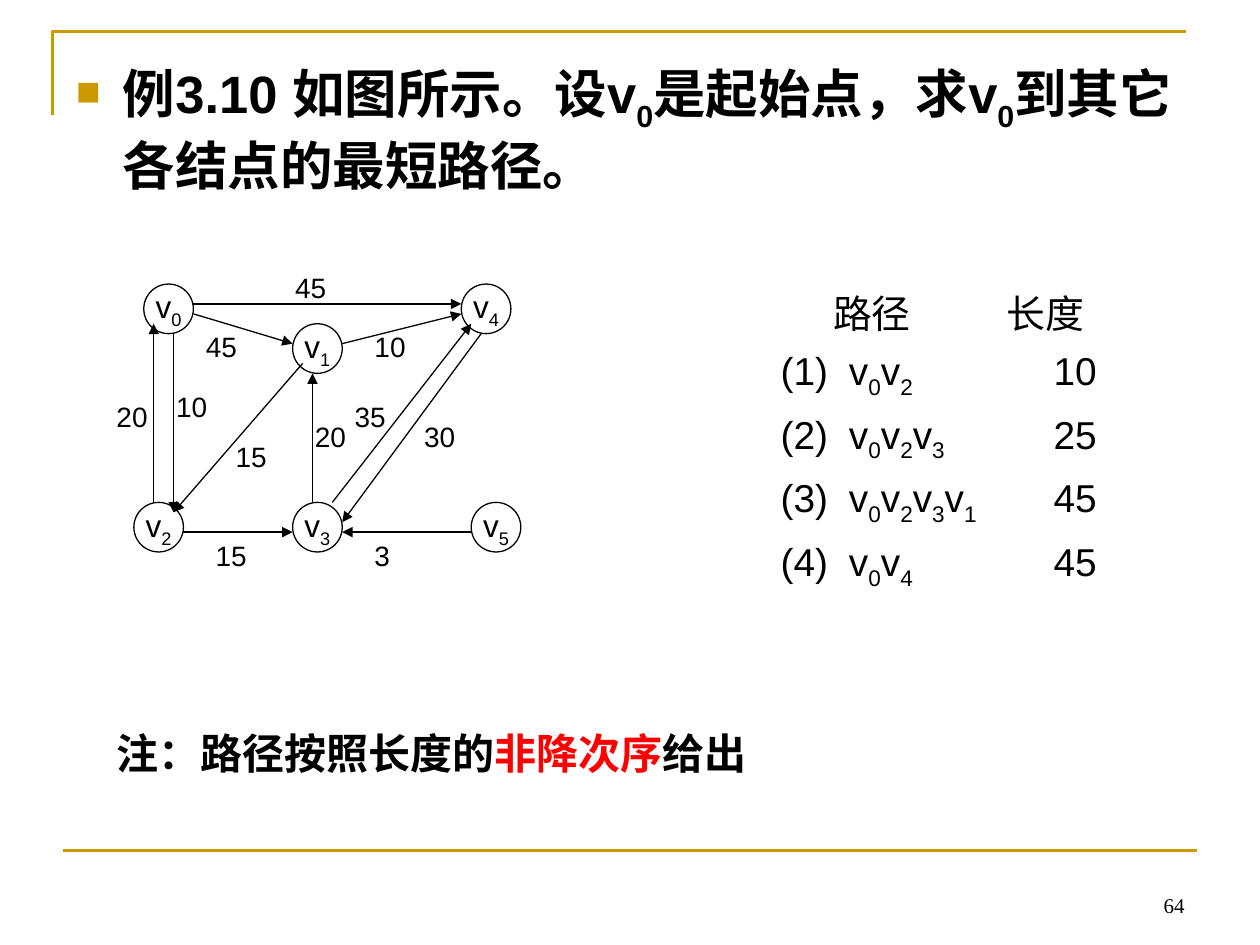
from pptx import Presentation
from pptx.dml.color import RGBColor
from pptx.enum import shapes as kinds, text as txt
from pptx.oxml.ns import qn
from pptx.util import Pt
from lxml import etree

BLACK = RGBColor(0x00, 0x00, 0x00)
GOLD = RGBColor(0xCC, 0x99, 0x00)
RED = RGBColor(0xFF, 0x00, 0x00)

STEP = 5.67  # grid step of the graph, in points
NODE = 5     # node diameter, in steps

# Node number: left, top (steps)
NODES = {0: (4, 2), 1: (19, 6), 4: (36, 2), 5: (37, 24), 3: (19, 24), 2: (3, 24)}

# Edge from x, y to x, y; label text at x, y (steps)
EDGES = [
    (9, 4, 36, 4, "45", 18, 0),
    (9, 5, 19, 8, "45", 9, 6),
    (24, 8, 36, 5, "10", 26, 6),
    (5, 24, 5, 6, "20", 0, 13),
    (7, 7, 7, 25, "10", 6, 12),
    (20, 10, 7, 25, "15", 12, 17),
    (8, 27, 19, 27, "15", 10, 27),
    (21, 24, 21, 11, "20", 20, 15),
    (23, 24, 37, 6, "35", 24, 13),
    (38, 7, 24, 26, "30", 31, 15),
    (37, 27, 24, 27, "3", 26, 27),
]

ROUTES = [("v_0v_2", 10), ("v_0v_2v_3", 25), ("v_0v_2v_3v_1", 45), ("v_0v_4", 45)]


def style(para, size, bold=False, face="Arial"):
    font = para.font
    font.name, font.size, font.bold = face, Pt(size), bold
    font.color.rgb = BLACK


def write(para, words):
    """Add words to a paragraph; the character after each _ is a subscript."""
    head, *rest = words.split("_")
    para.add_run().text = head
    for part in rest:
        sub = para.add_run()
        sub.text = part[0]
        sub._r.get_or_add_rPr().set("baseline", "-25000")
        if part[1:]:
            para.add_run().text = part[1:]


def add_box(parent, x, y, w, h):
    frame = parent.add_textbox(Pt(x), Pt(y), Pt(w), Pt(h)).text_frame
    frame.word_wrap = True
    return frame


def add_line(parent, x1, y1, x2, y2, color, width):
    line = parent.add_connector(
        kinds.MSO_CONNECTOR.STRAIGHT, Pt(x1), Pt(y1), Pt(x2), Pt(y2))
    line.line.color.rgb = color
    line.line.width = Pt(width)
    etree.SubElement(line._element.spPr, qn("a:effectLst"))
    return line


def add_frame(slide, x, y, w, h):
    # Corner rule at the top left
    pen = slide.shapes.build_freeform(Pt(x), Pt(y + 48))
    pen.add_line_segments([(Pt(x), Pt(y)), (Pt(x + w), Pt(y))], close=False)
    rule = pen.convert_to_shape()
    rule.fill.background()
    rule.line.color.rgb = GOLD
    rule.line.width = Pt(1.5)
    rule.shadow.inherit = False
    # Rule at the foot
    add_line(slide.shapes, x + 6, y + h, x + 6 + w, y + h, GOLD, 1.5)


def add_title(slide, x, y, w, h):
    title = slide.shapes.title
    title.left, title.top, title.width, title.height = Pt(x), Pt(y), Pt(w), Pt(h)
    frame = title.text_frame
    frame.vertical_anchor = txt.MSO_ANCHOR.TOP
    frame.auto_size = txt.MSO_AUTO_SIZE.NONE
    para = frame.paragraphs[0]
    para.alignment = txt.PP_ALIGN.LEFT
    style(para, 30, True)
    write(para, "例3.10 如图所示。设v_0是起始点，求v_0到其它各结点的最短路径。")
    # Square bullet on a hanging indent
    props = para._p.get_or_add_pPr()
    props.set("marL", str(Pt(27)))
    props.set("indent", str(Pt(-27)))
    tint = etree.Element(qn("a:buClr"))
    etree.SubElement(tint, qn("a:srgbClr"), val=str(GOLD))
    size = etree.Element(qn("a:buSzPct"), val="65000")
    mark = etree.Element(qn("a:buChar"), char="■")
    first = props.find(qn("a:defRPr"))
    for part in (tint, size, mark):
        first.addprevious(part)


def add_graph(slide, x, y):
    group = slide.shapes.add_group_shape().shapes

    def at(col, row):
        return x + col * STEP, y + row * STEP

    # Nodes
    for num, spot in NODES.items():
        left, top = at(*spot)
        side = Pt(NODE * STEP)
        node = group.add_shape(kinds.MSO_SHAPE.OVAL, Pt(left), Pt(top), side, side)
        node.fill.background()
        node.line.color.rgb = BLACK
        node.line.width = Pt(0.75)
        node.shadow.inherit = False
        frame = node.text_frame
        frame.word_wrap = False
        frame.vertical_anchor = txt.MSO_ANCHOR.MIDDLE
        para = frame.paragraphs[0]
        para.alignment = txt.PP_ALIGN.CENTER
        style(para, 18)
        write(para, f"v_{num}")

    # Arrows and their lengths
    for x1, y1, x2, y2, cost, col, row in EDGES:
        edge = add_line(group, *at(x1, y1), *at(x2, y2), BLACK, 0.75)
        etree.SubElement(edge.line._get_or_add_ln(), qn("a:tailEnd"), type="triangle")
        para = add_box(group, *at(col, row), 10 * STEP, 26.6).paragraphs[0]
        style(para, 16)
        write(para, cost)


def add_routes(slide, x, y, w, h):
    frame = add_box(slide.shapes, x, y, w, h)
    rows = [("\t路径\t长度", (30, 129))]
    rows += [(f"({num})\t{route}\t{cost}", (39, 156))
             for num, (route, cost) in enumerate(ROUTES, 1)]
    for num, (words, stops) in enumerate(rows):
        para = frame.add_paragraph() if num else frame.paragraphs[0]
        para.space_before = Pt(6)
        style(para, 22.2)
        write(para, words)
        tabs = etree.Element(qn("a:tabLst"))
        for stop in stops:
            etree.SubElement(tabs, qn("a:tab"), pos=str(Pt(stop)), algn="l")
        para._p.pPr.find(qn("a:defRPr")).addprevious(tabs)


def add_note(slide, x, y, w, h):
    para = add_box(slide.shapes, x, y, w, h).paragraphs[0]
    style(para, 24, True)
    for words, color in (("注：路径按照长度的", BLACK), ("非降次序", RED), ("给出", BLACK)):
        run = para.add_run()
        run.text = words
        run.font.color.rgb = color


def add_number(slide, x, y, w, h):
    frame = add_box(slide.shapes, x, y, w, h)
    frame.vertical_anchor = txt.MSO_ANCHOR.BOTTOM
    para = frame.paragraphs[0]
    para.alignment = txt.PP_ALIGN.RIGHT
    style(para, 12, face="Times New Roman")
    write(para, "64")


def main():
    deck = Presentation()
    deck.slide_width, deck.slide_height = Pt(720), Pt(540)
    slide = deck.slides.add_slide(deck.slide_layouts[5])
    add_frame(slide, 30, 18, 648, 468)
    add_title(slide, 36, 31.5, 648, 91)
    add_routes(slide, 439, 162, 255, 181.5)
    add_note(slide, 59.5, 412, 595.5, 57)
    add_graph(slide, 59.5, 151)
    add_number(slide, 516, 492, 168, 36)
    deck.save("out.pptx")


if __name__ == "__main__":
    main()
